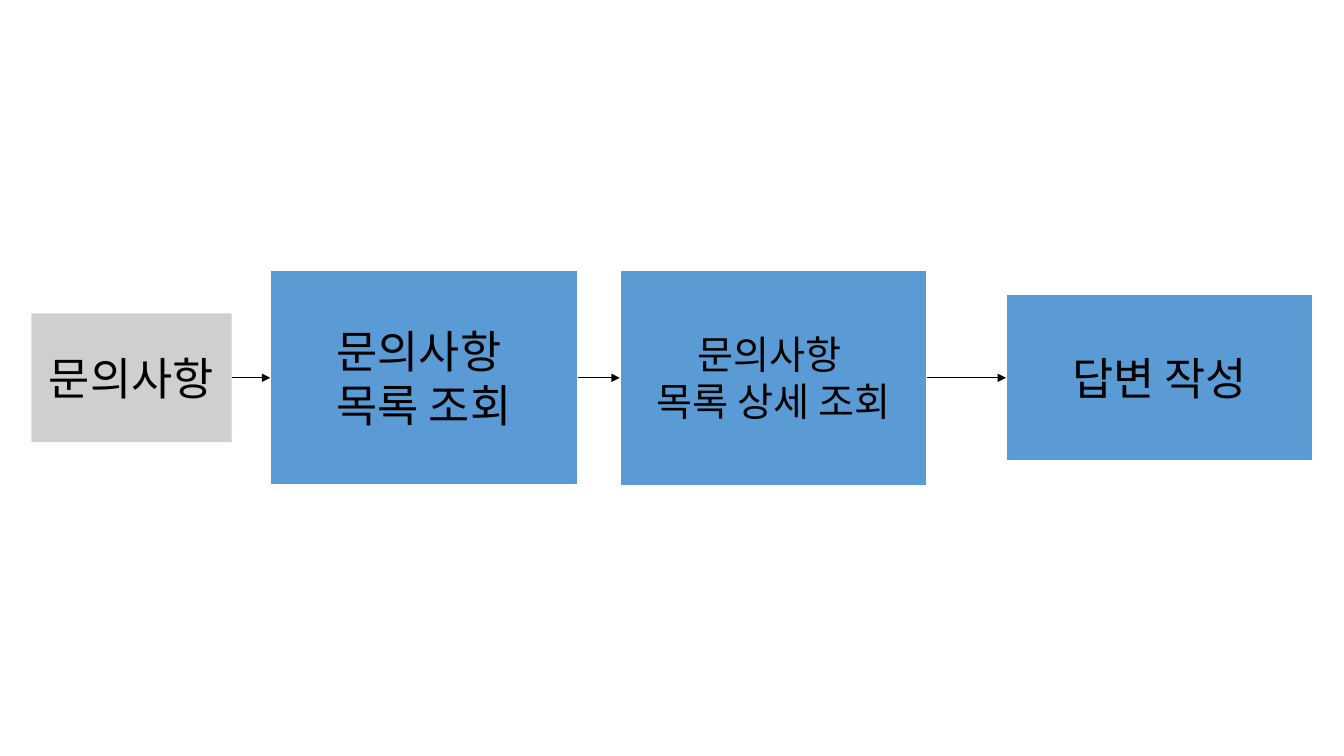
from lxml.etree import SubElement
from pptx import Presentation
from pptx.dml.color import RGBColor
from pptx.enum.shapes import MSO_CONNECTOR, MSO_SHAPE
from pptx.enum.text import MSO_ANCHOR, PP_ALIGN
from pptx.oxml.ns import qn
from pptx.util import Cm, Pt

COLORS = {"start": "D0CECE", "step": "5B9BD5", "border": "FFFFFF", "ink": "000000"}
RIGHT_SITE, LEFT_SITE = 3, 1


class FlowSlide:
    font_name = "Noto Sans CJK KR"
    middle = 9.52  # shared centre line of all boxes, in cm

    def __init__(self, slide):
        self.slide = slide

    def color(self, name):
        return RGBColor.from_string(COLORS[name])

    def box(self, text, left, width, height, size, fill="step", border="border"):
        shape = self.slide.shapes.add_shape(
            MSO_SHAPE.RECTANGLE, Cm(left), Cm(self.middle - height / 2), Cm(width), Cm(height))
        shape.shadow.inherit = False
        shape.fill.solid()
        shape.fill.fore_color.rgb = self.color(fill)
        if border:
            shape.line.color.rgb = self.color(border)
            shape.line.width = Pt(1.5)
        else:
            shape.line.fill.background()
        text_frame = shape.text_frame
        text_frame.text = text
        text_frame.vertical_anchor = MSO_ANCHOR.MIDDLE
        for paragraph in text_frame.paragraphs:
            paragraph.alignment = PP_ALIGN.CENTER
            for run in paragraph.runs:
                self.format_run(run, size)
        return shape

    def format_run(self, run, size):
        """Set the font for Latin and for Korean letters."""
        run.font.size = Pt(size)
        run.font.color.rgb = self.color("ink")
        run.font.name = self.font_name
        east_asian = SubElement(run.font._element, qn("a:ea"))
        east_asian.set("typeface", self.font_name)

    def arrow(self, source, target):
        connector = self.slide.shapes.add_connector(MSO_CONNECTOR.STRAIGHT, 0, 0, 0, 0)
        connector.begin_connect(source, RIGHT_SITE)
        connector.end_connect(target, LEFT_SITE)
        connector.line.color.rgb = self.color("ink")
        connector.line.width = Pt(0.5)
        SubElement(connector.line._get_or_add_ln(), qn("a:tailEnd")).set("type", "triangle")
        SubElement(connector._element.spPr, qn("a:effectLst"))


def main():
    presentation = Presentation()
    presentation.slide_width = Cm(33.87)
    presentation.slide_height = Cm(19.05)
    blank_layout = presentation.slide_layouts[6]
    flow = FlowSlide(presentation.slides.add_slide(blank_layout))

    steps = [
        flow.box("문의사항", 0.79, 5.05, 3.25, 32, fill="start", border=None),
        flow.box("문의사항 \n목록 조회", 6.81, 7.75, 5.42, 32),
        flow.box("문의사항 \n목록 상세 조회", 15.62, 7.75, 5.45, 28),
        flow.box("답변 작성", 25.35, 7.75, 4.22, 32),
    ]
    for source, target in zip(steps, steps[1:]):
        flow.arrow(source, target)

    presentation.save("out.pptx")


if __name__ == "__main__":
    main()
